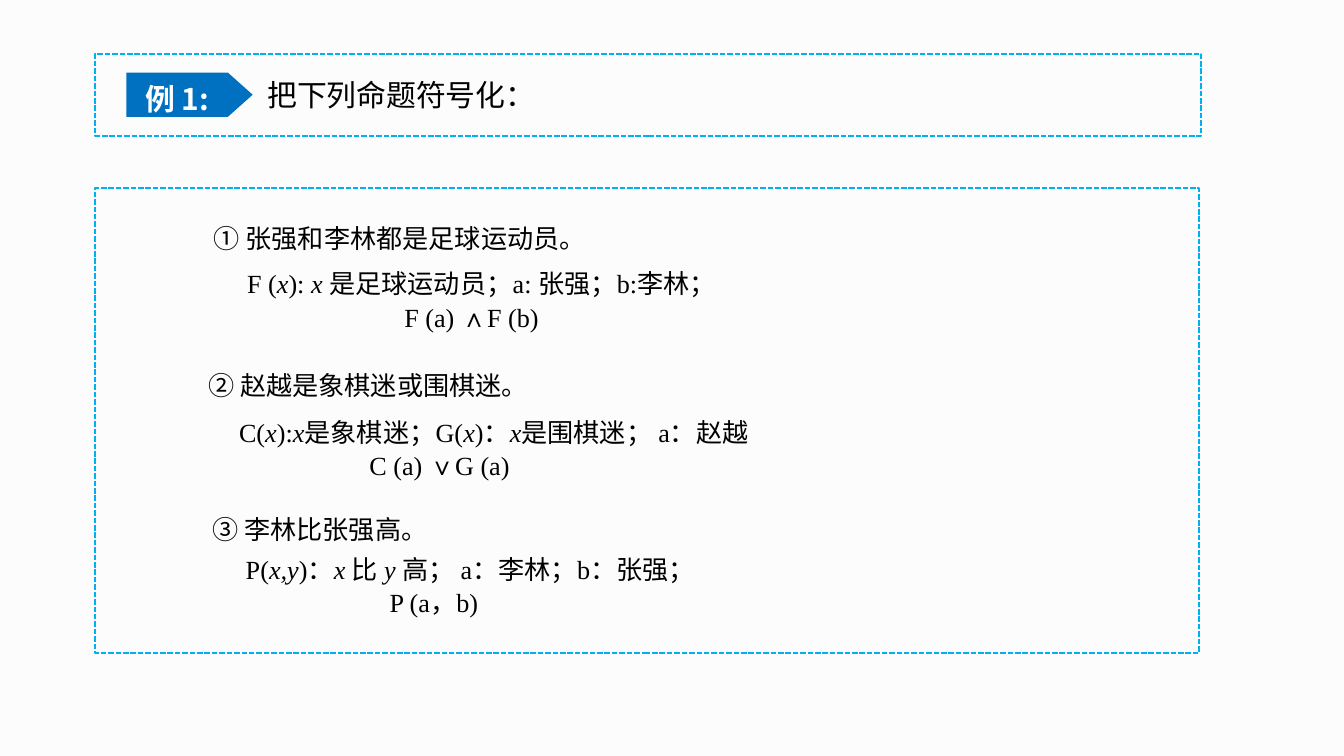
from pptx import Presentation
from pptx.dml.color import RGBColor
from pptx.enum.dml import MSO_LINE
from pptx.enum.shapes import MSO_SHAPE
from pptx.enum.text import MSO_ANCHOR, MSO_AUTO_SIZE, PP_ALIGN
from pptx.oxml.ns import qn
from pptx.util import Inches, Pt
from lxml import etree

BACKGROUND = RGBColor(0xFC, 0xFC, 0xFC)
BLUE = RGBColor(0x00, 0x70, 0xC0)
CYAN = RGBColor(0x00, 0xB0, 0xF0)
BLACK = RGBColor(0, 0, 0)
WHITE = RGBColor(0xFF, 0xFF, 0xFF)
SANS = "Noto Sans CJK SC"
SERIF = "Times New Roman"


def add_runs(paragraph, text, font, size, color=BLACK, bold=False):
    for index, part in enumerate(text.split("*")):
        if not part:
            continue
        run = paragraph.add_run()
        run.text = part
        run.font.name = font
        run.font.size = Pt(size)
        run.font.bold = bold
        run.font.italic = index % 2 == 1
        run.font.color.rgb = color
        east_asian = etree.SubElement(run.font._element, qn("a:ea"))
        east_asian.set("typeface", SANS)


def add_text(left, top, width, height):
    box = slide.shapes.add_textbox(Inches(left), Inches(top), Inches(width), Inches(height))
    box.text_frame.word_wrap = True
    return box.text_frame


prs = Presentation()
prs.slide_width = Inches(10)
prs.slide_height = prs.slide_width * 9 // 16
slide = prs.slides.add_slide(prs.slide_layouts[5])
slide.background.fill.solid()
slide.background.fill.fore_color.rgb = BACKGROUND

tag = slide.shapes.add_shape(MSO_SHAPE.PENTAGON, Inches(0.94), Inches(0.54), Inches(0.94), Inches(0.33))
tag.adjustments[0] = 0.56
tag.shadow.inherit = False
tag.fill.solid()
tag.fill.fore_color.rgb = BLUE
tag.line.fill.background()
tag.text_frame.word_wrap = False
tag.text_frame.margin_right = Inches(0.19)
tag.text_frame.vertical_anchor = MSO_ANCHOR.MIDDLE
label = tag.text_frame.paragraphs[0]
label.alignment = PP_ALIGN.CENTER
label.line_spacing = 1.2
add_runs(label, "例 1:", SANS, 16, WHITE, True)

for top, width, height in [(0.4, 8.23, 0.61), (1.4, 8.21, 3.46)]:
    frame = slide.shapes.add_shape(MSO_SHAPE.RECTANGLE, Inches(0.71), Inches(top), Inches(width), Inches(height))
    frame.shadow.inherit = False
    frame.fill.background()
    frame.line.color.rgb = CYAN
    frame.line.width = Pt(1)
    frame.line.dash_style = MSO_LINE.SQUARE_DOT

title = slide.shapes.title
title.left, title.top, title.width, title.height = Inches(1.89), Inches(0.57), Inches(5), Inches(0.32)
title.text_frame.auto_size = MSO_AUTO_SIZE.NONE
title.text_frame.vertical_anchor = MSO_ANCHOR.TOP
heading = title.text_frame.paragraphs[0]
heading.alignment = PP_ALIGN.LEFT
heading.line_spacing = 0.8
add_runs(heading, "把下列命题符号化：", SANS, 16)

statements = [
    (1.49, 1.65, 5, 0.45, 0.8, "① 张强和李林都是足球运动员。"),
    (1.45, 2.7, 3.36, 0.34, 1.0, "② 赵越是象棋迷或围棋迷。"),
    (1.48, 3.77, 4.62, 0.34, 1.0, "③ 李林比张强高。"),
]
for left, top, width, height, spacing, text in statements:
    statement = add_text(left, top, width, height).paragraphs[0]
    statement.line_spacing = spacing
    add_runs(statement, text, SANS, 14)

solutions = [
    (1.74, 1.97, 4.7, 0.57, 0.9, 0, "F (*x*): *x *是足球运动员；a: 张强；b:李林；", 1.17, "F (a) ∧F (b)"),
    (1.48, 3.05, 4.72, 0.82, 1.0, 0.2, "C(*x*):*x*是象棋迷；G(*x*)：*x*是围棋迷； a：赵越", 1.17, "C (a) ∨G (a)"),
    (1.53, 4.07, 6.69, 0.6, 1.0, 0.2, "P(*x,y*)：*x *比 *y *高； a：李林；b：张强；", 1.27, "P (a，b)"),
]
for left, top, width, height, spacing, indent, definition, formula_indent, formula in solutions:
    text_frame = add_text(left, top, width, height)
    lines = [(definition, indent, spacing, 0), (formula, formula_indent, 0.9, 2.8)]
    for index, (text, margin, line_spacing, before) in enumerate(lines):
        line = text_frame.add_paragraph() if index else text_frame.paragraphs[0]
        line.line_spacing = line_spacing
        line.space_before = Pt(before)
        line._p.get_or_add_pPr().set("marL", str(Inches(margin)))
        add_runs(line, text, SERIF, 14)

prs.save("out.pptx")
